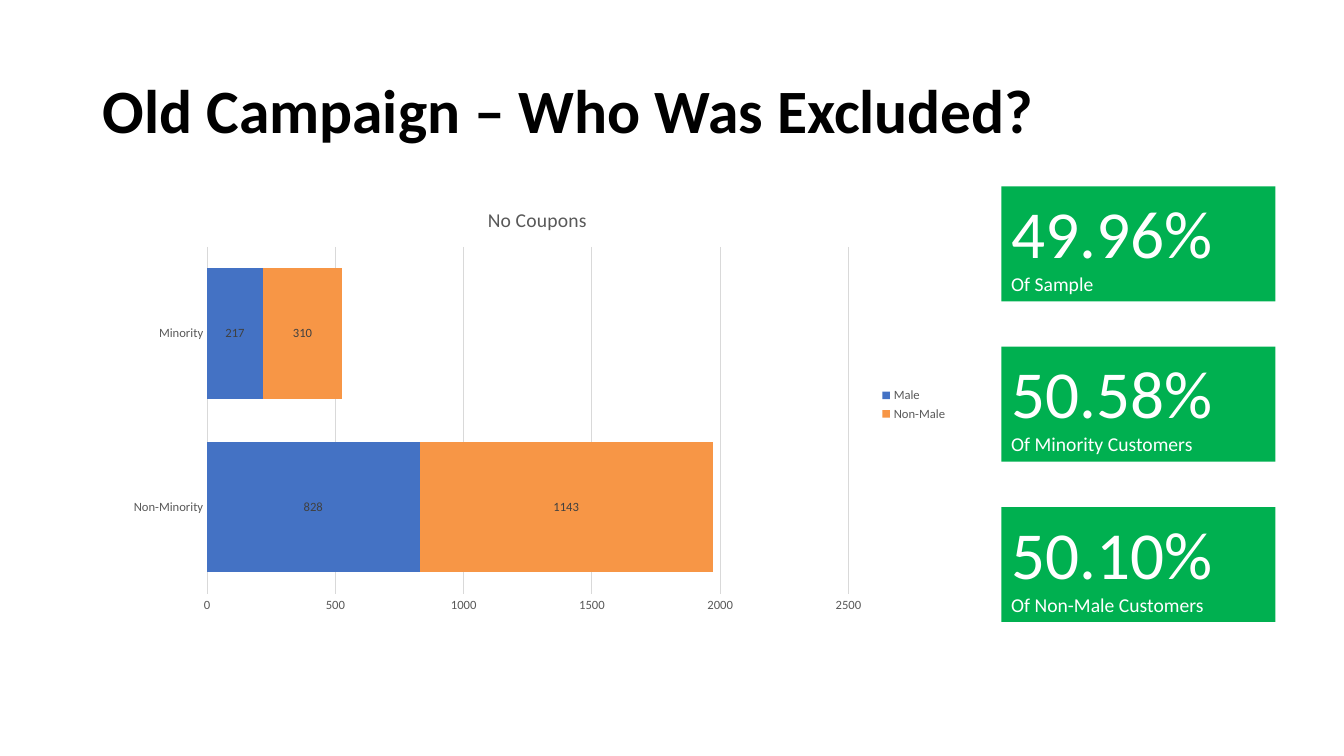
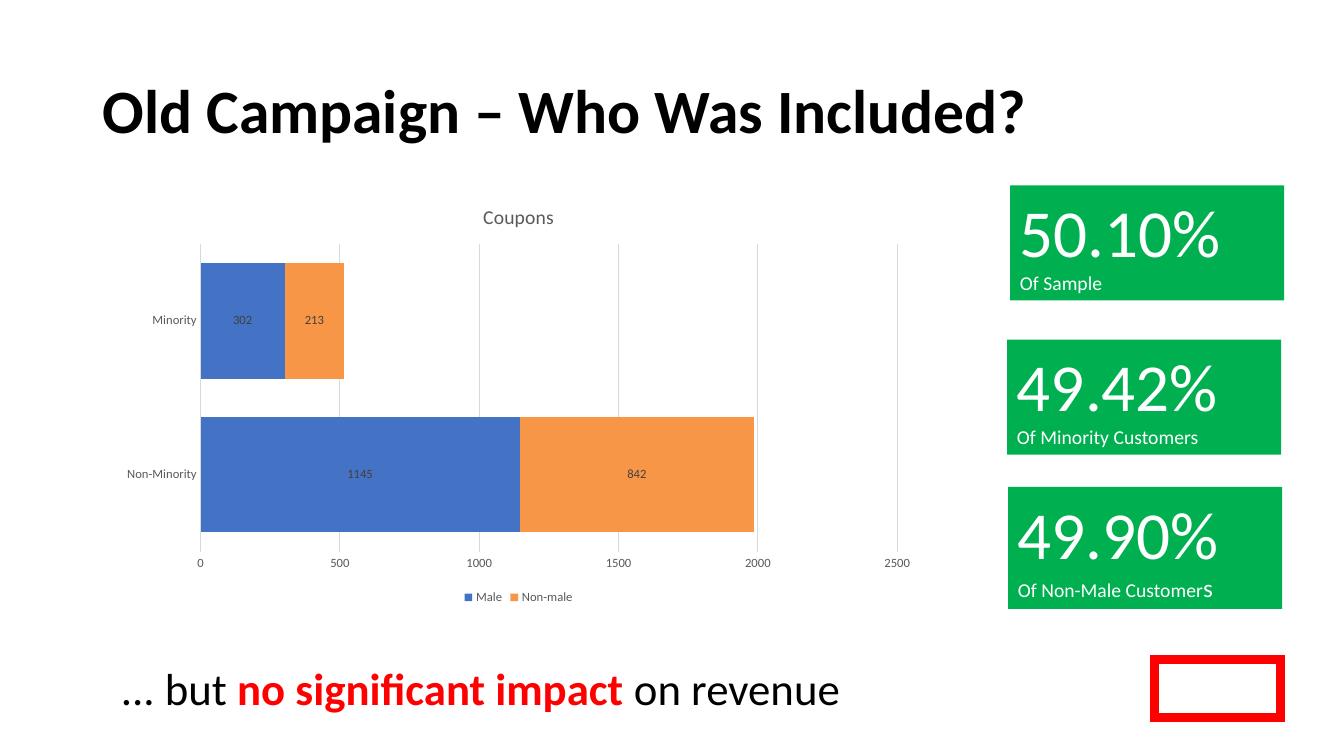
from dataclasses import dataclass
from typing import NamedTuple

from lxml import etree
from pptx import Presentation
from pptx import util as u
from pptx.chart.data import CategoryChartData
from pptx.dml.color import RGBColor
from pptx.enum import chart as ch, shapes, text

FONT = "Calibri"
BLACK = RGBColor(0x00, 0x00, 0x00)
WHITE = RGBColor(0xFF, 0xFF, 0xFF)
RED = RGBColor(0xFF, 0x00, 0x00)
GREEN = RGBColor(0x00, 0xB0, 0x50)
BLUE = RGBColor(0x44, 0x72, 0xC4)
ORANGE = RGBColor(0xF7, 0x96, 0x46)
LABEL_GREY = RGBColor(0x40, 0x40, 0x40)
AXIS_GREY = RGBColor(0x59, 0x59, 0x59)
GRID_GREY = RGBColor(0xD9, 0xD9, 0xD9)

SLIDE_W, SLIDE_H = u.Inches(13.33), u.Inches(7.5)
CARD_W, CARD_H = 20.4, 15.2
GROUPS = ("Non-Minority", "Minority")


class Area(NamedTuple):
    """A rectangle in percent of the slide's width and height."""
    left: float
    top: float
    width: float
    height: float

    def lengths(self) -> tuple:
        return tuple(round(share * side / 100) for share, side in
                     zip(self, (SLIDE_W, SLIDE_H, SLIDE_W, SLIDE_H)))


class Span(NamedTuple):
    words: str
    size: float
    color: RGBColor = BLACK
    bold: bool = False


@dataclass(frozen=True)
class Card:
    area: Area
    share: str
    caption: tuple[Span, ...]


@dataclass(frozen=True)
class Breakdown:
    """Customer counts by gender within each group."""
    area: Area
    title: str
    legend: ch.XL_LEGEND_POSITION
    counts: dict[str, tuple[int, int]]


TITLE_AREA = Area(6.9, 5.33, 86.25, 19.33)


def caption(words: str, size: float = 14) -> Span:
    return Span(words, size, WHITE)


def write(frame, *paragraphs: tuple[Span, ...], anchor=text.MSO_ANCHOR.TOP,
          line_spacing: float = 1.0) -> None:
    frame.word_wrap = True
    frame.auto_size = text.MSO_AUTO_SIZE.NONE
    frame.vertical_anchor = anchor
    for index, spans in enumerate(paragraphs):
        paragraph = frame.add_paragraph() if index else frame.paragraphs[0]
        paragraph.alignment = text.PP_ALIGN.LEFT
        paragraph.line_spacing = line_spacing
        for span in spans:
            run = paragraph.add_run()
            run.text = span.words
            style(run.font, span.size, span.color, span.bold)


def style(font, size: float, color: RGBColor, bold: bool = False) -> None:
    font.name, font.size, font.bold = FONT, u.Pt(size), bold
    font.color.rgb = color


def add_block(slide, kind, area: Area, color: RGBColor):
    block = slide.shapes.add_shape(kind, *area.lengths())
    block.shadow.inherit = False
    block.fill.solid()
    block.fill.fore_color.rgb = color
    block.line.fill.background()
    return block


def add_card(slide, card: Card) -> None:
    block = add_block(slide, shapes.MSO_SHAPE.RECTANGLE, card.area, GREEN)
    write(block.text_frame, (caption(card.share, 48),), card.caption)


def add_breakdown(slide, breakdown: Breakdown) -> None:
    data = CategoryChartData()
    data.categories = GROUPS
    for gender, counts in breakdown.counts.items():
        data.add_series(gender, counts)
    chart = slide.shapes.add_chart(
        ch.XL_CHART_TYPE.BAR_STACKED, *breakdown.area.lengths(), data).chart
    style(chart.font, 10, BLACK)

    chart.has_title = True
    heading = chart.chart_title
    heading.include_in_layout = False
    heading.text_frame.text = breakdown.title
    style(heading.text_frame.paragraphs[0].runs[0].font, 14, AXIS_GREY)

    chart.has_legend = True
    chart.legend.position = breakdown.legend
    chart.legend.include_in_layout = False
    style(chart.legend.font, 9, AXIS_GREY)

    groups, scale = chart.category_axis, chart.value_axis
    for axis in (groups, scale):
        axis.major_tick_mark = axis.minor_tick_mark = ch.XL_TICK_MARK.NONE
        style(axis.tick_labels.font, 9, AXIS_GREY)
    scale.minimum_scale, scale.maximum_scale, scale.major_unit = 0, 2500, 500
    scale.has_major_gridlines = True
    scale.format.line.fill.background()
    for line in (groups.format.line, scale.major_gridlines.format.line):
        line.color.rgb = GRID_GREY
        line.width = u.Pt(0.75)

    plot = chart.plots[0]
    plot.gap_width, plot.overlap, plot.vary_by_categories = 33, 100, False
    for series, color in zip(plot.series, (BLUE, ORANGE)):
        series.format.fill.solid()
        series.format.fill.fore_color.rgb = color
        series.data_labels.show_value = True
        style(series.data_labels.font, 9, LABEL_GREY)


def add_campaign_slide(deck, title: str, breakdown: Breakdown,
                       cards: list[Card]):
    slide = deck.slides.add_slide(deck.slide_layouts[5])
    heading = slide.shapes.title
    heading.left, heading.top, heading.width, heading.height = TITLE_AREA.lengths()
    write(heading.text_frame, (Span(title, 44, bold=True),),
          anchor=text.MSO_ANCHOR.MIDDLE, line_spacing=0.9)
    add_breakdown(slide, breakdown)
    for card in cards:
        add_card(slide, card)
    return slide


def add_conclusion(slide) -> None:
    remark = slide.shapes.add_textbox(*Area(8.25, 86.8, 55.43, 8.53).lengths())
    write(remark.text_frame, (Span("... but ", 32),
                              Span("no significant impact", 32, RED, True),
                              Span(" on revenue", 32)))
    border = add_block(slide, shapes.MSO_SHAPE.FRAME,
                       Area(85.6, 86.67, 9.98, 8.8), RED)
    border.line.color.rgb = RED
    border.line.width = u.Pt(1)


def main() -> None:
    deck = Presentation()
    deck.slide_width, deck.slide_height = SLIDE_W, SLIDE_H

    excluded = (("49.96%", "Of Sample"), ("50.58%", "Of Minority Customers"),
                ("50.10%", "Of Non-Male Customers"))
    add_campaign_slide(
        deck, "Old Campaign – Who Was Excluded?",
        Breakdown(Area(8.7, 24.93, 62.55, 57.2), "No Coupons",
                  ch.XL_LEGEND_POSITION.RIGHT,
                  {"Male": (828, 217), "Non-Male": (1143, 310)}),
        [Card(Area(74.5, 24.67 + 21.2 * row, CARD_W, CARD_H), share,
              (caption(words),))
         for row, (share, words) in enumerate(excluded)])

    included = add_campaign_slide(
        deck, "Old Campaign – Who Was Included?",
        Breakdown(Area(8.25, 24.53, 60.68, 56), "Coupons",
                  ch.XL_LEGEND_POSITION.BOTTOM,
                  {"Male": (1145, 302), "Non-male": (842, 213)}),
        [Card(Area(75.15, 24.53, CARD_W, CARD_H), "50.10%",
              (caption("Of Sample"),)),
         Card(Area(74.93, 44.93, CARD_W, CARD_H), "49.42%",
              (caption("Of Minority Customers"),)),
         Card(Area(75, 64.4, CARD_W, 16.13), "49.90%",
              (caption("Of Non-Male Customer"), caption("s", 18)))])
    add_conclusion(included)
    deck.save("out.pptx")


if __name__ == "__main__":
    main()
